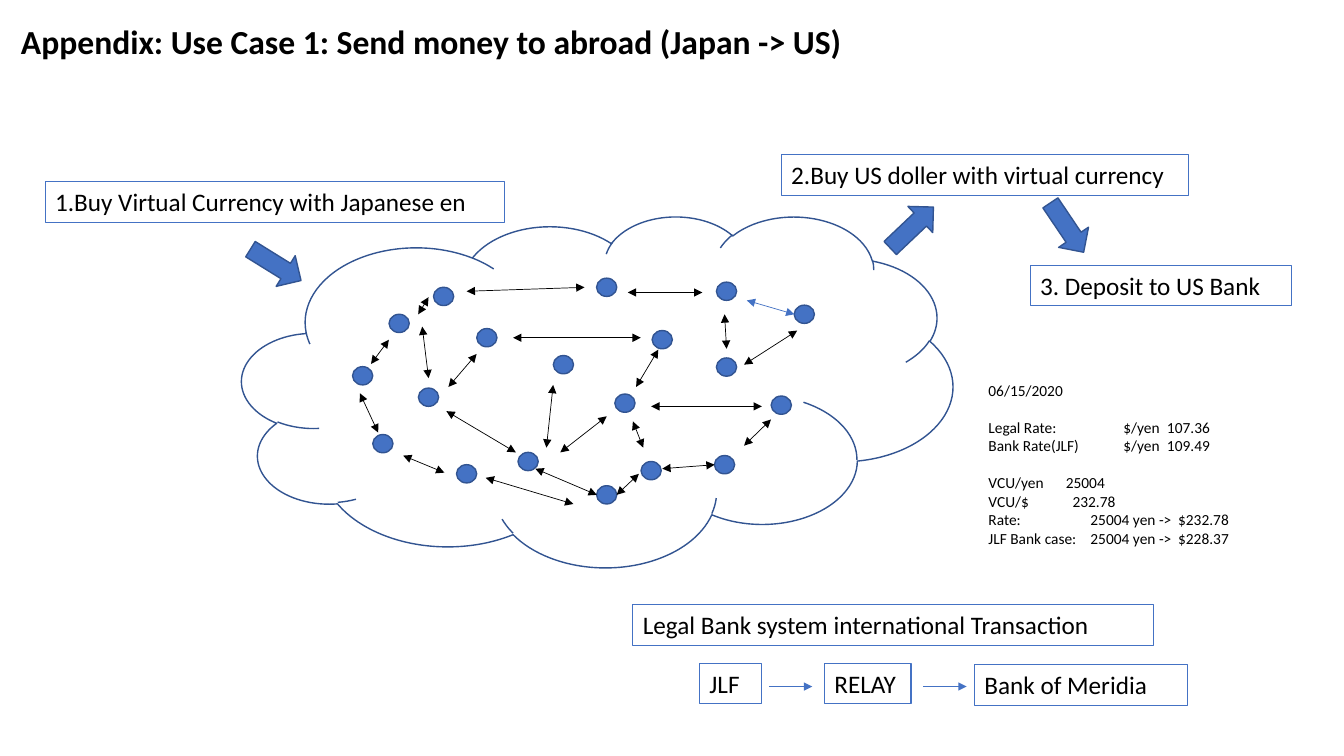
from lxml import etree
from pptx import Presentation
from pptx.dml.color import RGBColor
from pptx.enum.shapes import MSO_CONNECTOR, MSO_SHAPE
from pptx.enum.text import MSO_ANCHOR
from pptx.oxml.ns import qn
from pptx.util import Cm, Pt

STRAIGHT = MSO_CONNECTOR.STRAIGHT
CLOUD, ELLIPSE, RIGHT_ARROW = MSO_SHAPE.CLOUD, MSO_SHAPE.OVAL, MSO_SHAPE.RIGHT_ARROW
TOP = MSO_ANCHOR.TOP

COLORS = {"text": "000000", "blue": "4472C4", "outline": "325491"}
NODE_WIDTH, NODE_HEIGHT = 0.51, 0.46
BOX_HEIGHT = 1.03
ARROW_WIDTH, ARROW_HEIGHT = 1.5, 0.91
FLOW_LENGTH, FLOW_TOP = 1.09, 17.3

# Centre of each network node, in cm
NODES = [
    (9.14, 9.47), (11.18, 7.47), (9.65, 11.18), (15.29, 7.24), (18.31, 9.25),
    (14.2, 9.19), (11.76, 11.94), (15.75, 10.16), (18.26, 11.71), (16.41, 11.86),
    (15.29, 12.47), (10.06, 8.15), (10.8, 10.01), (12.27, 8.51), (16.69, 8.56),
    (19.69, 10.21), (20.27, 7.92), (13.31, 11.63), (18.31, 7.34),
]

# Start and end of each link between nodes, in cm
LINKS = [
    (11.76, 7.34, 14.73, 7.24), (15.82, 7.37, 17.7, 7.37), (10.64, 8.23, 10.8, 9.53),
    (11.3, 9.75, 12.01, 8.92), (12.93, 8.51, 16.15, 8.51), (11.25, 10.36, 13, 11.4),
    (16.41, 10.24, 19.2, 10.24), (13.77, 11.28, 13.94, 9.7), (18.31, 8.79, 18.26, 7.92),
    (18.75, 9.19, 20.09, 8.33), (18.75, 11.23, 19.43, 10.57), (16.03, 9.75, 16.59, 8.81),
    (9.53, 10.9, 9.07, 9.91), (11.2, 11.91, 10.16, 11.48), (14.12, 11.4, 15.29, 10.49),
    (15.04, 12.47, 13.49, 11.81), (14.45, 12.7, 12.24, 12.04), (16.21, 11.28, 15.95, 10.62),
    (18.01, 11.71, 16.69, 11.81), (15.54, 12.47, 16.1, 11.94), (9.35, 9.17, 9.8, 8.56),
    (10.54, 7.92, 10.8, 7.49),
]
BLUE_LINK = (18.82, 7.57, 20.02, 7.92)

# Text, left, top, width
BOXES = [
    ("1.Buy Virtual Currency with Japanese en", 1.14, 4.57, 11.58),
    ("2.Buy US doller with virtual currency", 19.69, 3.89, 10.26),
    ("3. Deposit to US Bank", 25.96, 6.68, 6.6),
    ("Legal Bank system international Transaction", 15.95, 15.24, 13.11),
    ("JLF", 17.63, 16.71, 1.57),
    ("RELAY", 20.78, 16.71, 2.18),
    ("Bank of Meridia", 24.56, 16.74, 5.38),
]

# Left, top, rotation
BLOCK_ARROWS = [(6.2, 6.22, 31.8), (22.23, 5.28, -43.5), (26.14, 5.28, 56)]
FLOW_LEFTS = [19.38, 23.27]

# Text, tab stops in cm, space before in points
RATES = [
    ("06/15/2020", (), 0),
    ("Legal Rate:\t$/yen\t107.36", (3.4, 4.5), 13.3),
    ("Bank Rate(JLF)\t$/yen\t109.49", (3.4, 4.5), 0),
    ("VCU/yen\t25004", (1.95,), 13.3),
    ("VCU/$\t232.78", (2.12,), 0),
    ("Rate:\t25004 yen ->\t$232.78", (2.57, 4.78), 0),
    ("JLF Bank case:\t25004 yen ->\t$228.37", (2.57, 4.78), 0),
]


class SlideBuilder:
    def __init__(self, slide, font="Calibri"):
        self.slide = slide
        self.font = font

    def color(self, name):
        return RGBColor.from_string(COLORS[name])

    def shape(self, kind, left, top, width, height, fill=None, rotation=0):
        shape = self.slide.shapes.add_shape(kind, Cm(left), Cm(top), Cm(width), Cm(height))
        shape.shadow.inherit = False
        shape.rotation = rotation
        if fill:
            shape.fill.solid()
            shape.fill.fore_color.rgb = self.color(fill)
        else:
            shape.fill.background()
        shape.line.color.rgb = self.color("outline")
        shape.line.width = Pt(1)

    def node(self, center_x, center_y):
        self.shape(ELLIPSE, center_x - NODE_WIDTH / 2, center_y - NODE_HEIGHT / 2,
                   NODE_WIDTH, NODE_HEIGHT, fill="blue")

    def line(self, points, color, ends):
        """Draw a thin line with triangles at the given ends (headEnd, tailEnd)."""
        connector = self.slide.shapes.add_connector(STRAIGHT, *(Cm(value) for value in points))
        connector.line.color.rgb = self.color(color)
        connector.line.width = Pt(0.5)
        line_element = connector.line._get_or_add_ln()
        for end in ends:
            etree.SubElement(line_element, qn(f"a:{end}"), type="triangle")
        etree.SubElement(connector._element.spPr, qn("a:effectLst"))

    def text(self, rows, left, top, width, height, size, bold=False, border=False):
        """Place rows of (text, tab stops, space before) in a text box."""
        box = self.slide.shapes.add_textbox(Cm(left), Cm(top), Cm(width), Cm(height))
        frame = box.text_frame
        frame.word_wrap = True
        frame.vertical_anchor = TOP
        if border:
            box.line.color.rgb = self.color("blue")
            box.line.width = Pt(0.75)
        font_format = {"name": self.font, "size": Pt(size), "bold": bold}
        for index, (content, tabs, space) in enumerate(rows):
            paragraph = frame.add_paragraph() if index else frame.paragraphs[0]
            paragraph.space_before = Pt(space)
            run = paragraph.add_run()
            run.text = content
            for attribute, value in font_format.items():
                setattr(run.font, attribute, value)
            run.font.color.rgb = self.color("text")
            if tabs:
                tab_list = etree.SubElement(paragraph._p.get_or_add_pPr(), qn("a:tabLst"))
                for position in tabs:
                    etree.SubElement(tab_list, qn("a:tab"), pos=str(Cm(position)), algn="l")


def main():
    presentation = Presentation()
    presentation.slide_width, presentation.slide_height = Cm(33.87), Cm(19.05)
    builder = SlideBuilder(presentation.slides.add_slide(presentation.slide_layouts[6]))

    title = "Appendix: Use Case 1: Send money to abroad (Japan -> US)"
    builder.text([(title, (), 0)], 0.28, 0.41, 23.52, 1.27, size=24, bold=True)

    builder.shape(CLOUD, 6.1, 5.44, 17.91, 8.84)
    for center in NODES:
        builder.node(*center)
    both_ends = ("headEnd", "tailEnd")
    for link in LINKS:
        builder.line(link, "text", both_ends)
    builder.line(BLUE_LINK, "blue", both_ends)

    for content, left, top, width in BOXES:
        builder.text([(content, (), 0)], left, top, width, BOX_HEIGHT, size=18, border=True)
    for left, top, rotation in BLOCK_ARROWS:
        builder.shape(RIGHT_ARROW, left, top, ARROW_WIDTH, ARROW_HEIGHT, "blue", rotation)
    builder.text(RATES, 24.66, 9.47, 8.28, 6.83, size=11)
    for left in FLOW_LEFTS:
        builder.line((left, FLOW_TOP, left + FLOW_LENGTH, FLOW_TOP), "blue", ("tailEnd",))

    presentation.save("out.pptx")


if __name__ == "__main__":
    main()
